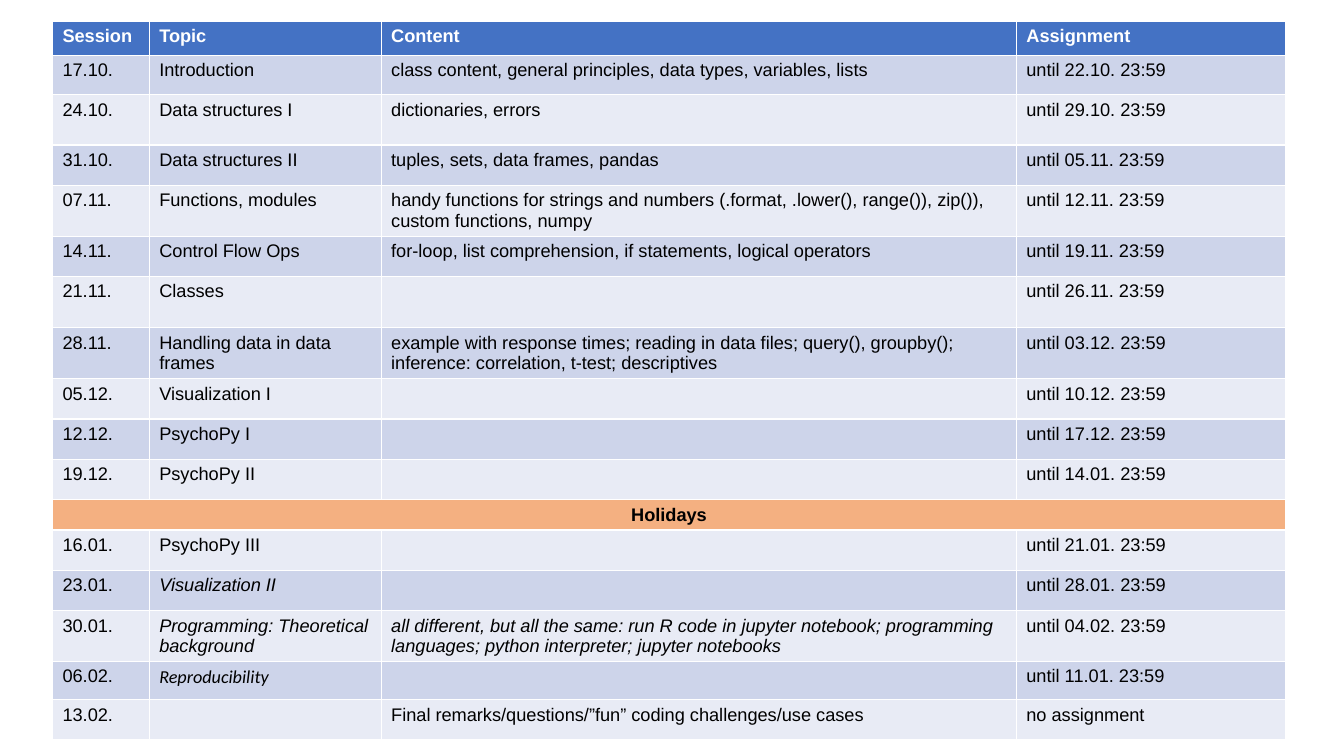
from lxml.etree import SubElement
from pptx import Presentation
from pptx.dml.color import RGBColor
from pptx.enum.text import PP_ALIGN
from pptx.oxml.ns import qn
from pptx.util import Inches, Pt

WHITE = RGBColor(0xFF, 0xFF, 0xFF)
BLACK = RGBColor(0x00, 0x00, 0x00)
HEADER_BLUE = RGBColor(0x44, 0x72, 0xC4)
BAND_DARK = RGBColor(0xCD, 0xD4, 0xEA)
BAND_LIGHT = RGBColor(0xE8, 0xEB, 0xF5)
HOLIDAY_ORANGE = RGBColor(0xF4, 0xB0, 0x81)

TEXT_SIZE = Pt(13)
COLUMN_WIDTHS = [0.96, 2.3, 6.3, 2.67]
HOLIDAYS = "Holidays"
ITALIC_SESSIONS = {"23.01.", "30.01.", "06.02."}

# Row height, then session, topic, content and assignment
SCHEDULE = [
    (0.34, "Session", "Topic", "Content", "Assignment"),
    (0.39, "17.10.", "Introduction",
     "class content, general principles, data types, variables, lists",
     "until 22.10. 23:59"),
    (0.5, "24.10.", "Data structures I", "dictionaries, errors", "until 29.10. 23:59"),
    (0.4, "31.10.", "Data structures II", "tuples, sets, data frames, pandas",
     "until 05.11. 23:59"),
    (0.5, "07.11.", "Functions, modules",
     "handy functions for strings and numbers (.format, .lower(), range()), zip()), "
     "custom functions, numpy",
     "until 12.11. 23:59"),
    (0.4, "14.11.", "Control Flow Ops",
     "for-loop, list comprehension, if statements, logical operators",
     "until 19.11. 23:59"),
    (0.51, "21.11.", "Classes", "", "until 26.11. 23:59"),
    (0.5, "28.11.", "Handling data in data frames",
     "example with response times; reading in data files; query(), groupby();\n"
     "inference: correlation, t-test; descriptives",
     "until 03.12. 23:59"),
    (0.4, "05.12.", "Visualization I", "", "until 10.12. 23:59"),
    (0.4, "12.12.", "PsychoPy I", "", "until 17.12. 23:59"),
    (0.4, "19.12.", "PsychoPy II", "", "until 14.01. 23:59"),
    (0.3, HOLIDAYS, "", "", ""),
    (0.4, "16.01.", "PsychoPy III", "", "until 21.01. 23:59"),
    (0.4, "23.01.", "Visualization II", "", "until 28.01. 23:59"),
    (0.5, "30.01.", "Programming: Theoretical background",
     "all different, but all the same: run R code in jupyter notebook; "
     "programming languages; python interpreter; jupyter notebooks",
     "until 04.02. 23:59"),
    (0.38, "06.02.", "Reproducibility", "", "until 11.01. 23:59"),
    (0.4, "13.02.", "", "Final remarks/questions/”fun” coding challenges/use cases",
     "no assignment"),
]

prs = Presentation()
prs.slide_width = Inches(13.33)
prs.slide_height = Inches(7.5)
slide = prs.slides.add_slide(prs.slide_layouts[6])

table_height = sum(row[0] for row in SCHEDULE)
schedule = slide.shapes.add_table(
    len(SCHEDULE), len(COLUMN_WIDTHS), Inches(0.52), Inches(0.21),
    Inches(sum(COLUMN_WIDTHS)), Inches(table_height)).table
schedule.horz_banding = False
for column, width in zip(schedule.columns, COLUMN_WIDTHS):
    column.width = Inches(width)

for row_index, (height, *texts) in enumerate(SCHEDULE):
    session = texts[0]
    is_header = row_index == 0
    is_holiday = session == HOLIDAYS
    if is_header:
        row_fill = HEADER_BLUE
    elif is_holiday:
        row_fill = HOLIDAY_ORANGE
    else:
        row_fill = BAND_DARK if row_index % 2 else BAND_LIGHT

    schedule.rows[row_index].height = Inches(height)
    for column_index, text in enumerate(texts):
        cell = schedule.cell(row_index, column_index)
        cell.fill.solid()
        cell.fill.fore_color.rgb = row_fill
        cell.text_frame.text = text
        for paragraph in cell.text_frame.paragraphs:
            if is_holiday:
                paragraph.alignment = PP_ALIGN.CENTER
            if not text:
                # Keeps an empty cell from stretching its row
                SubElement(paragraph._p, qn("a:endParaRPr"), sz=str(int(TEXT_SIZE.pt * 100)))
            for run in paragraph.runs:
                run.font.name = "Calibri" if text == "Reproducibility" else "Arial"
                run.font.size = TEXT_SIZE
                run.font.bold = is_header or is_holiday
                run.font.italic = session in ITALIC_SESSIONS and column_index in (1, 2)
                run.font.color.rgb = WHITE if is_header else BLACK

    if is_holiday:
        schedule.cell(row_index, 0).merge(schedule.cell(row_index, len(texts) - 1))

prs.save("out.pptx")
